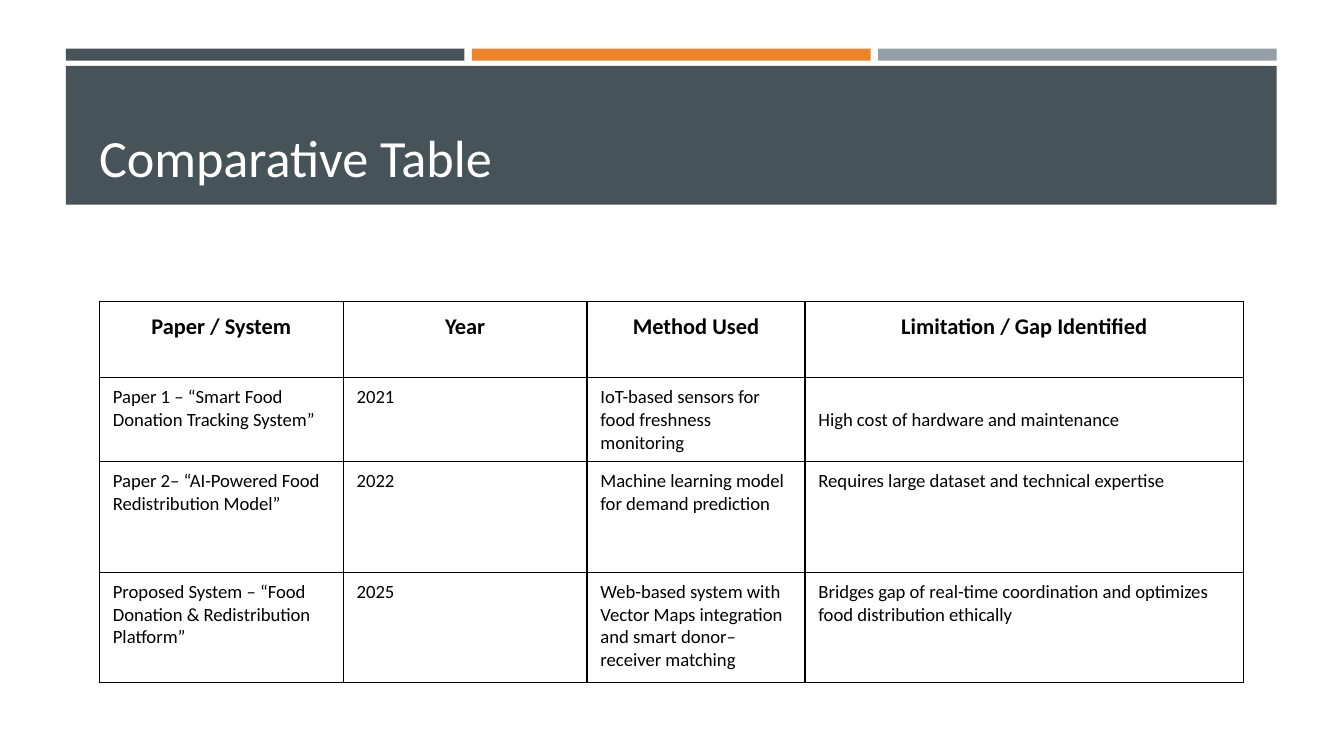
import lxml.etree
import pptx
import pptx.dml.color
import pptx.enum.shapes
import pptx.enum.text
import pptx.oxml.ns
import pptx.util

Pt = pptx.util.Pt
ALIGN = pptx.enum.text.PP_ALIGN
ANCHOR = pptx.enum.text.MSO_ANCHOR

COLORS = {
    "slate": "465359",
    "orange": "ED8428",
    "gray": "969FA7",
    "white": "FFFFFF",
    "black": "000000",
}

ROWS = [
    ["Paper / System", "Year", "Method Used", "Limitation / Gap Identified"],
    ["Paper 1 – “Smart Food Donation Tracking System”", "2021",
     "IoT-based sensors for food freshness monitoring",
     "High cost of hardware and maintenance"],
    ["Paper 2– “AI-Powered Food Redistribution Model”", "2022",
     "Machine learning model for demand prediction",
     "Requires large dataset and technical expertise"],
    ["Proposed System – “Food Donation & Redistribution Platform”", "2025",
     "Web-based system with Vector Maps integration and smart donor–receiver matching",
     "Bridges gap of real-time coordination and optimizes food distribution ethically"],
]


class SlideBuilder:
    font_name = "Calibri"
    border_width = 0.75

    def __init__(self, slide):
        self.slide = slide

    def color(self, name):
        return pptx.dml.color.RGBColor.from_string(COLORS[name])

    def style_font(self, paragraph, size, color, bold=False):
        paragraph.font.name = self.font_name
        paragraph.font.size = Pt(size)
        paragraph.font.bold = bold
        paragraph.font.color.rgb = self.color(color)

    def rectangle(self, left, top, width, height, color):
        shape = self.slide.shapes.add_shape(
            pptx.enum.shapes.MSO_SHAPE.RECTANGLE,
            Pt(left), Pt(top), Pt(width), Pt(height))
        shape.shadow.inherit = False
        shape.fill.solid()
        shape.fill.fore_color.rgb = self.color(color)
        shape.line.fill.background()

    def text(self, left, top, width, height, content, size, color):
        shape = self.slide.shapes.add_textbox(Pt(left), Pt(top), Pt(width), Pt(height))
        frame = shape.text_frame
        frame.word_wrap = True
        frame.vertical_anchor = ANCHOR.BOTTOM
        frame.text = content
        self.style_font(frame.paragraphs[0], size, color)

    def border(self, cell, color):
        properties = cell._tc.get_or_add_tcPr()
        for side in ("a:lnL", "a:lnR", "a:lnT", "a:lnB"):
            line = lxml.etree.SubElement(
                properties, pptx.oxml.ns.qn(side), w=str(Pt(self.border_width)))
            fill = lxml.etree.SubElement(line, pptx.oxml.ns.qn("a:solidFill"))
            lxml.etree.SubElement(fill, pptx.oxml.ns.qn("a:srgbClr"), val=COLORS[color])

    def table(self, left, top, widths, heights, rows):
        table = self.slide.shapes.add_table(
            len(heights), len(widths), Pt(left), Pt(top),
            Pt(sum(widths)), Pt(sum(heights))).table
        table.first_row = table.horz_banding = False
        for column, width in zip(table.columns, widths):
            column.width = Pt(width)
        for row_index, (row, height) in enumerate(zip(table.rows, heights)):
            row.height = Pt(height)
            is_header = row_index == 0
            for cell, content in zip(row.cells, rows[row_index]):
                self.border(cell, "black")
                cell.fill.background()
                cell.margin_left = cell.margin_right = Pt(7.2)
                cell.margin_top = cell.margin_bottom = Pt(4.5)
                cell.text = content
                paragraph = cell.text_frame.paragraphs[0]
                self.style_font(paragraph, 12 if is_header else 10, "black", is_header)
                if is_header:
                    paragraph.alignment = ALIGN.CENTER
                    paragraph.line_spacing = 1.15
        return table


def main():
    presentation = pptx.Presentation()
    presentation.slide_width = Pt(720)
    presentation.slide_height = Pt(405)
    builder = SlideBuilder(presentation.slides.add_slide(presentation.slide_layouts[6]))

    # Three accent bars above the title band, spread over its width
    band_left, band_width, gap = 35.3, 648.7, 4
    bar_width = (band_width - 2 * gap) / 3
    for index, color in enumerate(("slate", "orange", "gray")):
        builder.rectangle(band_left + index * (bar_width + gap), 26, bar_width, 6.5, color)

    # Title band
    builder.rectangle(band_left, 35.3, band_width, 74.4, "slate")
    builder.text(46, 40.3, 629, 64, "Comparative Table", 28, "white")

    # Comparison of papers
    table = builder.table(53.3, 161.4, [130.6, 130.6, 116.8, 235], [41, 37.5, 59.2, 59.2], ROWS)
    table.cell(1, 3).vertical_anchor = ANCHOR.MIDDLE

    presentation.save("out.pptx")


if __name__ == "__main__":
    main()
